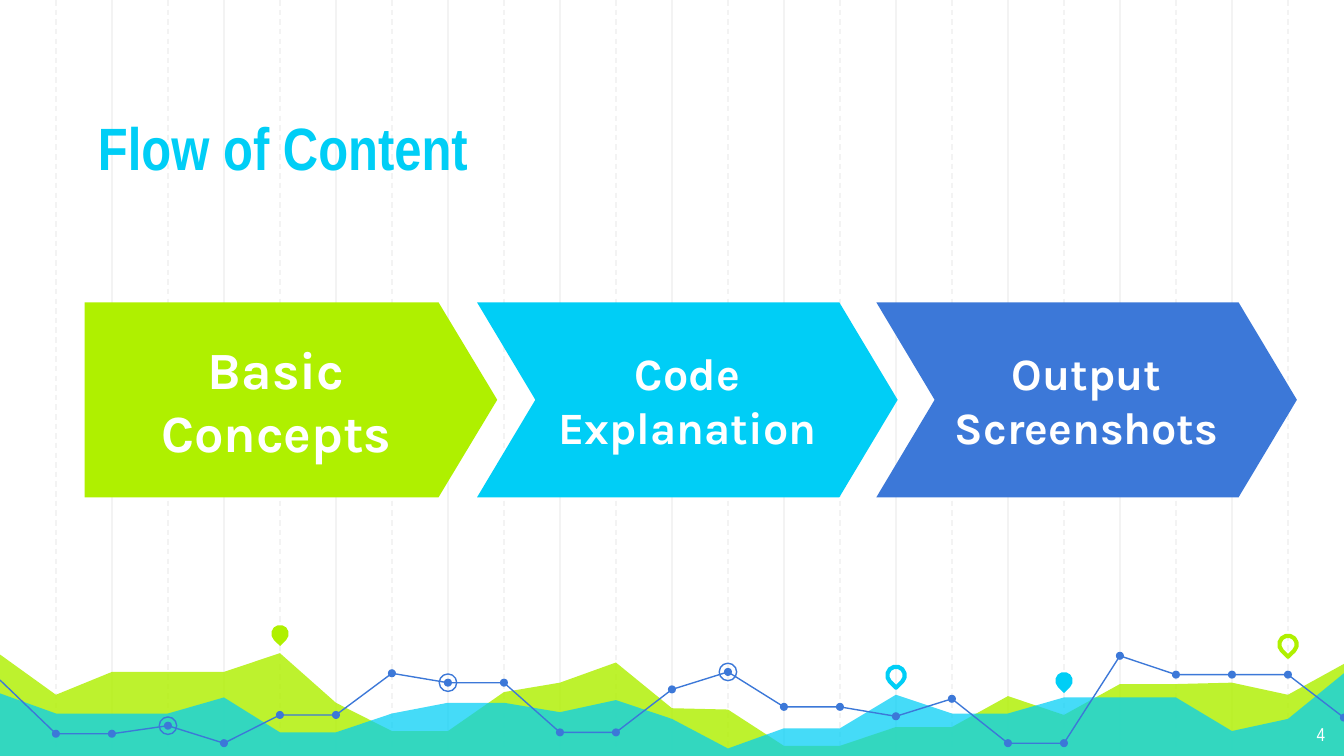
from dataclasses import dataclass
from typing import Optional

from lxml.etree import SubElement
from pptx import Presentation
from pptx.dml.color import RGBColor
from pptx.enum.dml import MSO_LINE
from pptx.enum.shapes import MSO_CONNECTOR, MSO_SHAPE as Shape
from pptx.enum.text import MSO_ANCHOR as Anchor, MSO_AUTO_SIZE, PP_ALIGN as Align
from pptx.oxml.ns import qn
from pptx.util import Inches, Pt

COLORS = {"lime": "AFF000", "cyan": "00CEF6", "blue": "3C78D8",
          "grid": "F3F3F3", "white": "FFFFFF"}

# The grid has 24 columns over the width and fine rows of a hundredth of an inch.
COLUMNS = 24
WIDTH = Inches(10)
HEIGHT = WIDTH * 9 // 16
COL = WIDTH / COLUMNS
ROW = Inches(0.01)


@dataclass
class Area:
    color: str
    opacity: int
    rows: list[int]


@dataclass
class Pin:
    col: int
    row: float
    color: str
    filled: bool


@dataclass
class Step:
    text: str
    kind: Shape
    col: float
    cols: float
    adj: float
    color: str
    size: int


AREAS = [
    Area("lime", 82, [487, 517, 500, 500, 500, 486, 523, 544, 544, 515, 508, 493, 527,
                      528, 555, 555, 541, 541, 518, 532, 509, 509, 508, 517, 494]),
    Area("cyan", 73, [516, 531, 531, 531, 519, 545, 545, 531, 523, 523, 530, 521, 535,
                      557, 542, 542, 517, 531, 531, 519, 519, 519, 544, 535, 501]),
]
TREND = [506, 546, 546, 540, 553, 532, 532, 501, 508, 508, 545, 545, 513,
         500, 526, 526, 533, 520, 553, 553, 488, 502, 502, 502, 534]
RINGED = [3, 8, 13]
PINS = [Pin(5, 471.5, "lime", True), Pin(16, 502.5, "cyan", False),
        Pin(19, 506.5, "cyan", True), Pin(23, 479.5, "lime", False)]
STEP_TOP, STEP_ROWS = 225, 145
STEPS = [
    Step("Basic Concepts", Shape.PENTAGON, 1.51, 7.37, 0.301, "lime", 28),
    Step("Code Explanation", Shape.CHEVRON, 8.52, 7.51, 0.299, "cyan", 24),
    Step("Output Screenshots", Shape.CHEVRON, 15.65, 7.51, 0.299, "blue", 24),
]


def rgb(name: str) -> RGBColor:
    return RGBColor.from_string(COLORS[name])


def box(col: float, row: float, cols: float, rows: float) -> list[int]:
    return [round(v) for v in (col * COL, row * ROW, cols * COL, rows * ROW)]


def paint(sp, fill: Optional[str] = None, line: Optional[str] = None,
          width: float = 0.75) -> None:
    sp.shadow.inherit = False
    if fill:
        sp.fill.solid()
        sp.fill.fore_color.rgb = rgb(fill)
    else:
        sp.fill.background()
    if line:
        sp.line.color.rgb = rgb(line)
        sp.line.width = Pt(width)
    else:
        sp.line.fill.background()


def write(sp, text: str, color: str, anchor: Anchor, align: Align, **font) -> None:
    tf = sp.text_frame
    frame = {"word_wrap": True, "auto_size": MSO_AUTO_SIZE.NONE, "vertical_anchor": anchor}
    frame |= {f"margin_{side}": Inches(0.1) for side in ("left", "top", "right", "bottom")}
    for key, value in frame.items():
        setattr(tf, key, value)
    p = tf.paragraphs[0]
    p.alignment = align
    r = p.add_run()
    r.text = text
    for key, value in font.items():
        setattr(r.font, key, value)
    r.font.color.rgb = rgb(color)


def add_grid_line(s, col: int) -> None:
    x = round(col * COL)
    line = s.shapes.add_connector(MSO_CONNECTOR.STRAIGHT, x, 0, x, HEIGHT)
    line.line.color.rgb = rgb("grid")
    line.line.width = Pt(0.75)
    if col % 2:
        line.line.dash_style = MSO_LINE.DASH
    SubElement(line.element.spPr, qn("a:effectLst"))


def add_profile(s, rows: list[int], closed: bool):
    """Outline through one point per column, closed along the slide's foot if asked."""
    points = [(round(i * COL), row * ROW) for i, row in enumerate(rows)]
    if closed:
        points += [(WIDTH, HEIGHT), (0, HEIGHT)]
    builder = s.shapes.build_freeform(*points[0])
    builder.add_line_segments(points[1:], close=closed)
    return builder.convert_to_shape()


def add_area(s, area: Area) -> None:
    sp = add_profile(s, area.rows, closed=True)
    paint(sp, fill=area.color)
    color = sp.element.spPr.find(qn("a:solidFill")).find(qn("a:srgbClr"))
    SubElement(color, qn("a:alpha"), val=str(area.opacity * 1000))


def add_centred(s, kind: Shape, col: float, row: float, rows: int):
    size = rows * ROW
    return s.shapes.add_shape(kind, round(col * COL - size / 2),
                              round(row * ROW - size / 2), size, size)


def add_pin(s, pin: Pin) -> None:
    sp = add_centred(s, Shape.TEAR, pin.col, pin.row, 13)
    sp.rotation = 135
    if pin.filled:
        paint(sp, fill=pin.color)
    else:
        paint(sp, line=pin.color, width=2.25)


def add_trend(s) -> None:
    paint(add_profile(s, TREND, closed=False), line="blue")
    for col, row in enumerate(TREND[1:], start=1):
        paint(add_centred(s, Shape.OVAL, col, row, 6), fill="blue")
    for col in RINGED:
        paint(add_centred(s, Shape.OVAL, col, TREND[col], 13), line="blue")


def add_step(s, step: Step) -> None:
    sp = s.shapes.add_shape(step.kind, *box(step.col, STEP_TOP, step.cols, STEP_ROWS))
    sp.adjustments[0] = step.adj
    paint(sp, fill=step.color)
    write(sp, step.text, "white", Anchor.MIDDLE, Align.CENTER,
          name="Karla", size=Pt(step.size), bold=True)


def add_title(s, text: str) -> None:
    title = s.shapes.title
    title.left, title.top, title.width, title.height = box(1.51, 68, 18.36, 78)
    write(title, text, "cyan", Anchor.BOTTOM, Align.LEFT,
          name="Arial Narrow", size=Pt(32), bold=True)
    s.shapes.element.append(title.element)  # bring in front of the grid


def main() -> None:
    prs = Presentation()
    prs.slide_width, prs.slide_height = WIDTH, HEIGHT
    s = prs.slides.add_slide(prs.slide_layouts[5])
    for col in range(1, COLUMNS):
        add_grid_line(s, col)
    for area in AREAS:
        add_area(s, area)
    for pin in PINS:
        add_pin(s, pin)
    add_trend(s)
    add_title(s, "Flow of Content")
    for step in STEPS:
        add_step(s, step)
    number = s.shapes.add_textbox(*box(22.46, 528, 1.44, 35))
    write(number, "4", "white", Anchor.TOP, Align.RIGHT, name="Arial Narrow", size=Pt(10))
    prs.save("out.pptx")


if __name__ == "__main__":
    main()
